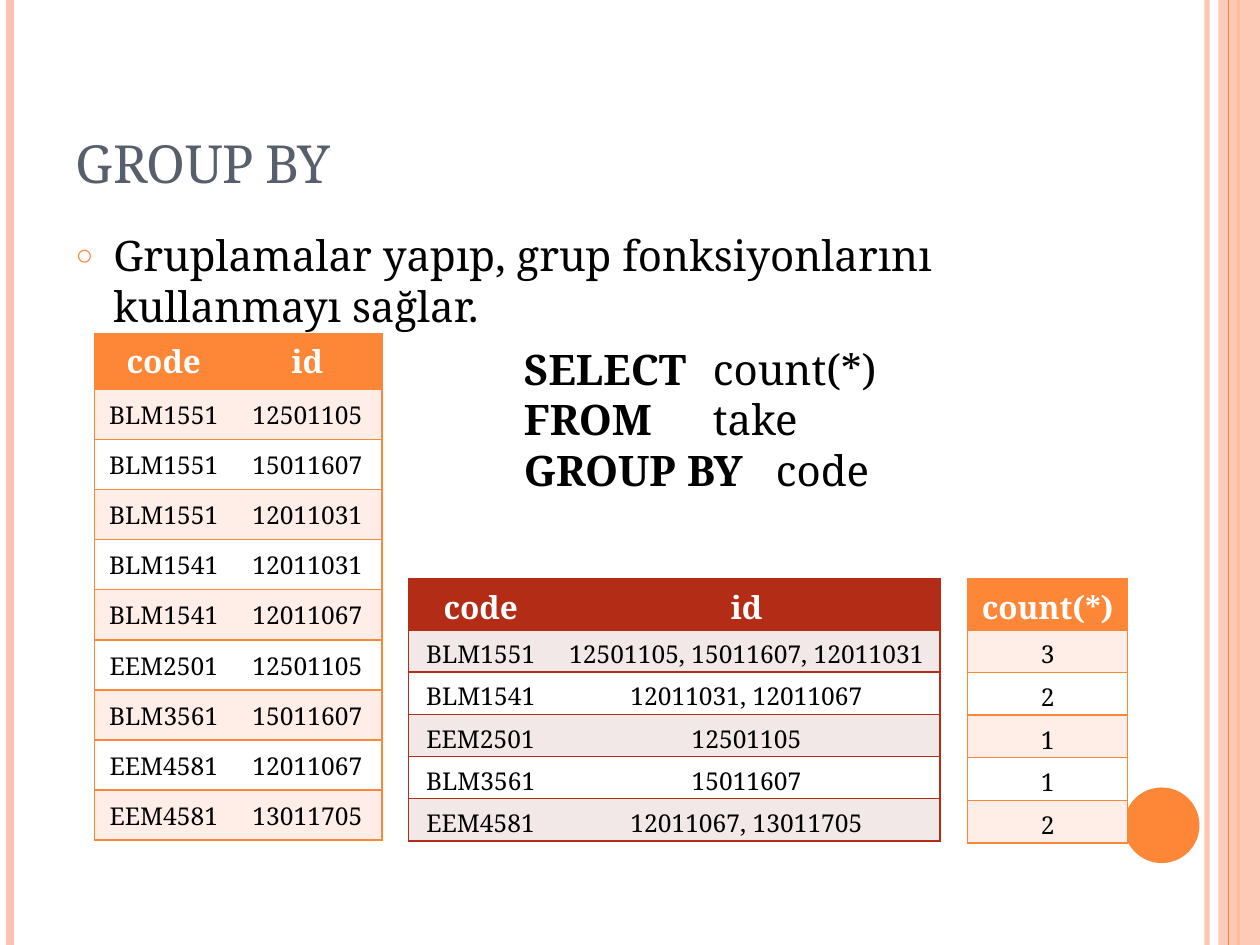
from dataclasses import dataclass
from lxml.etree import SubElement
from pptx import Presentation
from pptx.dml.color import RGBColor
from pptx.enum.shapes import MSO_CONNECTOR as Connector, MSO_SHAPE as Shape
from pptx.enum.text import MSO_ANCHOR as Anchor, MSO_AUTO_SIZE as AutoSize, PP_ALIGN as Align
from pptx.oxml.ns import qn
from pptx.util import Inches, Pt


@dataclass(frozen=True)
class Theme:
    """Colours, type sizes and font of the slide."""
    font: str = "Noto Serif"
    orange: str = "FE8637"
    peach: str = "FEC3AE"
    blush: str = "FFEDE8"
    red: str = "B32C16"
    rose: str = "F2E8E8"
    slate: str = "575F6D"
    black: str = "000000"
    white: str = "FFFFFF"
    title: int = 30
    body: int = 24
    header: int = 18
    cell: int = 14
    leading: float = 1.21


THEME = Theme()


def rgb(code):
    """Turn a hex code into a colour."""
    return RGBColor.from_string(code)


def place(item, box):
    """Move an item to a left, top, width, height box in inches."""
    item.left, item.top, item.width, item.height = map(Inches, box)


def add_run(paragraph, text, size, color, bold=False):
    """Append one formatted run and set the paragraph's leading."""
    run = paragraph.add_run()
    run.text = text
    run.font.name = THEME.font
    run.font.size = Pt(size)
    run.font.bold = bold
    run.font.color.rgb = rgb(color)
    paragraph.line_spacing = Pt(round(size * THEME.leading, 1))
    return run


def set_alpha(fill_parent, percent):
    """Make the solid colour below an element partly transparent."""
    color = next(fill_parent.iter(qn("a:srgbClr")))
    SubElement(color, qn("a:alpha"), val=str(percent * 1000))


def add_rule(slide, x, height, color, weight, opacity=100):
    """Draw a full-height vertical rule."""
    rule = slide.shapes.add_connector(
        Connector.STRAIGHT, Inches(x), 0, Inches(x), Inches(height))
    rule.line.color.rgb = rgb(color)
    rule.line.width = Pt(weight)
    if opacity < 100:
        set_alpha(rule.line._get_or_add_ln(), opacity)
    SubElement(rule._element.spPr, qn("a:effectLst"))


def add_block(slide, kind, box, color, opacity=100):
    """Draw a plain filled shape."""
    block = slide.shapes.add_shape(kind, *map(Inches, box))
    block.shadow.inherit = False
    block.fill.solid()
    block.fill.fore_color.rgb = rgb(color)
    block.line.fill.background()
    if opacity < 100:
        set_alpha(block._element.spPr, opacity)


def add_frame(slide, box):
    """Draw the side rules, right band and corner disc."""
    left, top, width, height = box
    right = left + width
    add_rule(slide, right - 0.42, height, THEME.peach, 3, 93)
    add_rule(slide, left + 0.08, height, THEME.peach, 4.5)
    add_rule(slide, right - 0.17, height, THEME.orange, 1.5)
    add_block(slide, Shape.RECTANGLE, (right - 0.33, top, 0.33, height), THEME.peach, 87)
    add_rule(slide, right - 0.25, height, THEME.orange, 0.75)
    add_block(slide, Shape.OVAL, (right - 1.08, top + 6.25, 0.6, 0.6), THEME.orange)


def fill_title(title, box, text):
    """Set the heading in small capitals at the foot of its box."""
    place(title, box)
    frame = title.text_frame
    frame.auto_size = AutoSize.NONE
    frame.vertical_anchor = Anchor.BOTTOM
    frame.margin_bottom = Inches(0.01)
    heading = frame.paragraphs[0]
    heading.alignment = Align.LEFT
    run = add_run(heading, text, THEME.title, THEME.slate)
    run.font._element.set("cap", "small")


def fill_body(body, box, text):
    """Set the explanation as a list item with a ring bullet."""
    place(body, box)
    frame = body.text_frame
    frame.auto_size = AutoSize.NONE
    frame.margin_top = Inches(0.07)
    item = frame.paragraphs[0]
    add_run(item, text, THEME.body, THEME.black)
    item.space_before = Pt(6)
    props = item._p.get_or_add_pPr()
    props.set("marL", str(Inches(0.3)))
    props.set("indent", str(Inches(-0.3)))
    bullet_color = SubElement(props, qn("a:buClr"))
    SubElement(bullet_color, qn("a:srgbClr"), val=THEME.orange)
    SubElement(props, qn("a:buSzPct"), val="70000")
    SubElement(props, qn("a:buChar"), char="○")


def add_query(slide, box, clauses):
    """Write the query with one clause a line."""
    frame = slide.shapes.add_textbox(*map(Inches, box)).text_frame
    frame.word_wrap = True
    frame.margin_top = Inches(0.07)
    for number, (keyword, operand) in enumerate(clauses):
        line = frame.add_paragraph() if number else frame.paragraphs[0]
        add_run(line, keyword + "\t", THEME.body, THEME.black, True)
        add_run(line, operand, THEME.body, THEME.black)


def set_borders(cell, color, first, last):
    """Rule a cell above and below, and at the outer sides of its row."""
    props = cell._tc.get_or_add_tcPr()
    sides = {"a:lnL": first, "a:lnR": last, "a:lnT": True, "a:lnB": True}
    for index, (side, shown) in enumerate(sides.items()):
        edge = SubElement(props, qn(side), w=str(Pt(1) if shown else 0))
        props.remove(edge)
        props.insert(index, edge)
        if shown:
            SubElement(SubElement(edge, qn("a:solidFill")), qn("a:srgbClr"), val=color)
        else:
            SubElement(edge, qn("a:noFill"))


def add_relation(slide, box, columns, header, rows, accent, band, header_height=0.41, drop=0.04):
    """Build a banded table whose body rows share the height below its header."""
    records = [header, *rows]
    table = slide.shapes.add_table(len(records), len(columns), *map(Inches, box)).table
    for column, width in zip(table.columns, columns):
        column.width = Inches(width)
    row_height = (box[3] - header_height) / len(rows)
    for r, record in enumerate(records):
        table.rows[r].height = Inches(row_height if r else header_height)
        for c, value in enumerate(record):
            cell = table.cell(r, c)
            cell.vertical_anchor = Anchor.MIDDLE
            cell.margin_left = cell.margin_right = Inches(0.05)
            cell.margin_top, cell.margin_bottom = Inches(0.05 + drop), Inches(0.05 - drop)
            cell.fill.solid()
            cell.fill.fore_color.rgb = rgb((band if r % 2 else THEME.white) if r else accent)
            set_borders(cell, accent, c == 0, c == len(record) - 1)
            entry = cell.text_frame.paragraphs[0]
            entry.alignment = Align.CENTER
            size, color = (THEME.cell, THEME.black) if r else (THEME.header, THEME.white)
            add_run(entry, value, size, color, r == 0)


def build_group_by(deck):
    """Compose the grouping slide."""
    slide = deck.slides.add_slide(deck.slide_layouts[1])
    fill_title(slide.shapes.title, (0.5, 0.3, 8.17, 1.25), "GROUP BY")
    fill_body(slide.placeholders[1], (0.5, 1.75, 8.45, 0.9),
              "Gruplamalar yapıp, grup fonksiyonlarını kullanmayı sağlar.")
    add_frame(slide, (0, 0, 10, 7.5))
    groups = {
        "BLM1551": ["12501105", "15011607", "12011031"],
        "BLM1541": ["12011031", "12011067"],
        "EEM2501": ["12501105"],
        "BLM3561": ["15011607"],
        "EEM4581": ["12011067", "13011705"],
    }
    taken = [(code, student) for code, ids in groups.items() for student in ids]
    grouped = [(code, ", ".join(ids)) for code, ids in groups.items()]
    counts = [(str(len(ids)),) for ids in groups.values()]
    add_relation(slide, (0.75, 2.65, 2.28, 4.02), (1.1, 1.18), ("code", "id"),
                 taken, THEME.orange, THEME.blush, 0.44, 0.02)
    add_query(slide, (4.06, 2.65, 5.04, 1.31),
              [("SELECT", "count(*)"), ("FROM", "take"), ("GROUP BY", "code")])
    add_relation(slide, (3.24, 4.59, 4.22, 2.07), (1.15, 3.07), ("code", "id"),
                 grouped, THEME.red, THEME.rose)
    add_relation(slide, (7.68, 4.59, 1.27, 2.1), (1.27,), ("count(*)",),
                 counts, THEME.orange, THEME.blush)


deck = Presentation()
deck.slide_width, deck.slide_height = Inches(10), Inches(7.5)
build_group_by(deck)
deck.save("out.pptx")
